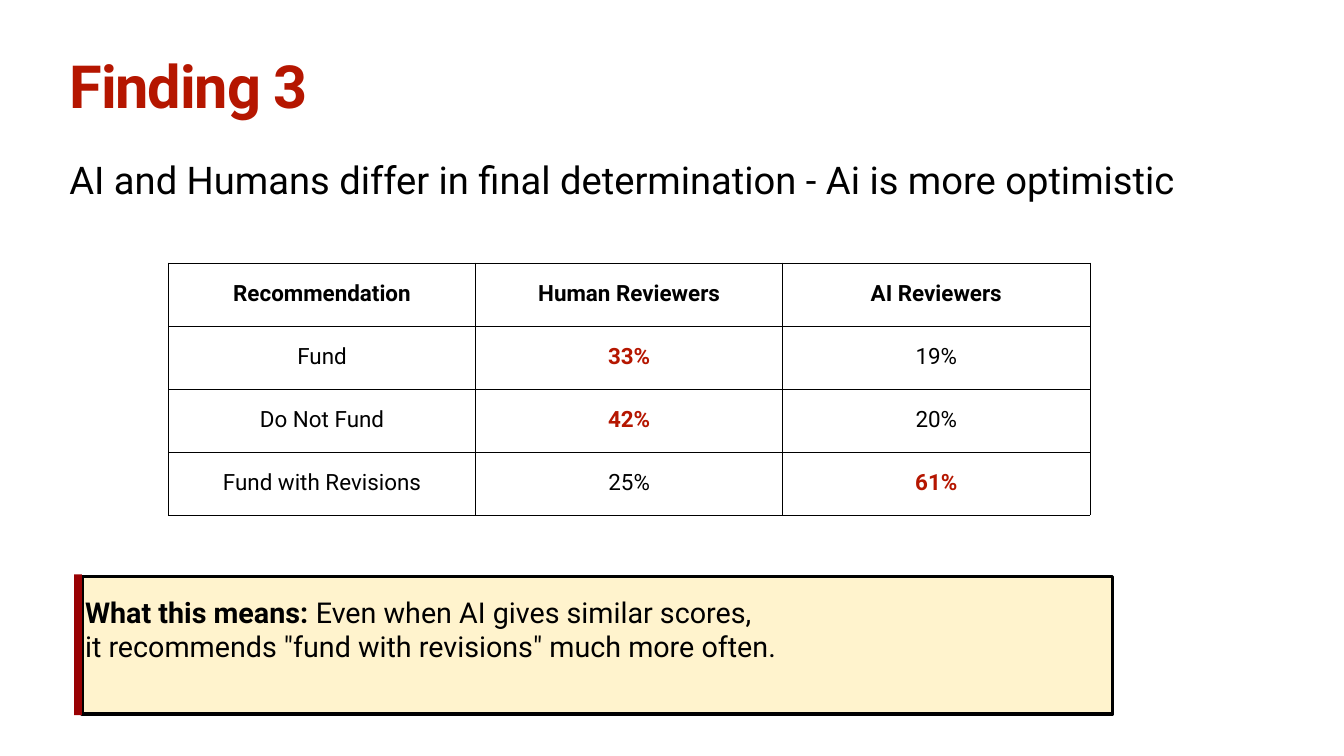
from lxml import etree
from pptx import Presentation
from pptx.dml.color import RGBColor
from pptx.enum.shapes import MSO_SHAPE
from pptx.enum.text import MSO_ANCHOR, MSO_AUTO_SIZE, PP_ALIGN
from pptx.oxml.ns import qn
from pptx.util import Pt

PX = 9525
RECT = MSO_SHAPE.RECTANGLE
TOP, MIDDLE = MSO_ANCHOR.TOP, MSO_ANCHOR.MIDDLE
LEFT, CENTER = PP_ALIGN.LEFT, PP_ALIGN.CENTER
NO_FIT = MSO_AUTO_SIZE.NONE
FONT = "Roboto"
TITLE_ONLY = 5
COLORS = {
    "text": "000000",
    "accent": "B51600",
    "bar": "990103",
    "callout": "FFF3CD",
}
ROWS = [
    ["Recommendation", "Human Reviewers", "AI Reviewers"],
    ["Fund", "33%", "19%"],
    ["Do Not Fund", "42%", "20%"],
    ["Fund with Revisions", "25%", "61%"],
]
HIGHLIGHTS = {"33%", "42%", "61%"}
CALLOUT = [
    [("What this means: ", True), ("Even when AI gives similar scores,", False)],
    [('it recommends "fund with revisions" much more often.', False)],
]


def rgb(name):
    return RGBColor.from_string(COLORS[name])


class Deck:
    def __init__(self, width, height):
        self.prs = Presentation()
        self.prs.slide_width = width * PX
        self.prs.slide_height = height * PX
        self.slide = self.prs.slides.add_slide(self.prs.slide_layouts[TITLE_ONLY])

    def style(self, r, size, color="text", bold=False):
        r.font.name = FONT
        r.font.size = Pt(size)
        r.font.bold = bold
        r.font.color.rgb = rgb(color)

    def frame(self, tf, inset, top=None):
        tf.word_wrap = True
        tf.auto_size = NO_FIT
        tf.vertical_anchor = TOP
        tf.margin_left = tf.margin_right = tf.margin_bottom = inset * PX
        tf.margin_top = (inset if top is None else top) * PX

    def title(self, text, x, y, w, h, size):
        sp = self.slide.shapes.title
        sp.left, sp.top, sp.width, sp.height = (v * PX for v in (x, y, w, h))
        tf = sp.text_frame
        self.frame(tf, 6)
        tf.text = text
        p = tf.paragraphs[0]
        p.alignment = LEFT
        p.line_spacing = 0.8
        r = p.runs[0]
        self.style(r, size, "accent", True)
        r.font._element.set("spc", "-170")

    def text(self, text, x, y, w, h, size):
        sp = self.slide.shapes.add_textbox(x * PX, y * PX, w * PX, h * PX)
        tf = sp.text_frame
        self.frame(tf, 5)
        tf.text = text
        self.style(tf.paragraphs[0].runs[0], size)

    def box(self, x, y, w, h, fill, line=0):
        sp = self.slide.shapes.add_shape(RECT, x * PX, y * PX, w * PX, h * PX)
        sp.shadow.inherit = False
        sp.fill.solid()
        sp.fill.fore_color.rgb = rgb(fill)
        if line:
            sp.line.width = Pt(line)
            sp.line.color.rgb = rgb("text")
        else:
            sp.line.fill.background()
        return sp

    def callout(self, paragraphs, x, y, w, h, size):
        tf = self.box(x, y, w, h, "callout", 5).text_frame
        self.frame(tf, 6, 35)
        for i, parts in enumerate(paragraphs):
            p = tf.add_paragraph() if i else tf.paragraphs[0]
            p.alignment = LEFT
            for text, bold in parts:
                r = p.add_run()
                r.text = text
                self.style(r, size, bold=bold)

    def border(self, cell, width):
        tc_pr = cell._tc.get_or_add_tcPr()
        for side in ("a:lnL", "a:lnR", "a:lnT", "a:lnB"):
            ln = etree.SubElement(tc_pr, qn(side), w=str(Pt(width)))
            fill = etree.SubElement(ln, qn("a:solidFill"))
            etree.SubElement(fill, qn("a:srgbClr"), val=COLORS["text"])

    def table(self, rows, x, y, col_w, row_h, size):
        n, m = len(rows), len(rows[0])
        table = self.slide.shapes.add_table(
            n, m, x * PX, y * PX, m * col_w * PX, n * row_h * PX).table
        table.first_row = table.horz_banding = False
        for col in table.columns:
            col.width = col_w * PX
        for i, values in enumerate(rows):
            table.rows[i].height = row_h * PX
            for j, value in enumerate(values):
                cell = table.cell(i, j)
                self.border(cell, 1)
                cell.fill.background()
                cell.vertical_anchor = MIDDLE
                cell.margin_left = cell.margin_right = 6 * PX
                cell.margin_top = cell.margin_bottom = 6 * PX
                p = cell.text_frame.paragraphs[0]
                p.text = value
                p.alignment = CENTER
                p.line_spacing = 0.9
                strong = value in HIGHLIGHTS
                self.style(p.runs[0], size, "accent" if strong else "text",
                           strong or i == 0)


def main():
    deck = Deck(2560, 1440)
    deck.title("Finding 3", 127, 113, 2307, 151, 85)
    deck.text("AI and Humans differ in final determination - Ai is more optimistic",
              127, 292, 2307, 98, 54.5)
    deck.callout(CALLOUT, 156, 1098, 1963, 262, 41)
    deck.box(141, 1094, 15, 268, "bar")
    deck.table(ROWS, 321, 501, 585, 120, 32)
    deck.prs.save("out.pptx")


if __name__ == "__main__":
    main()
